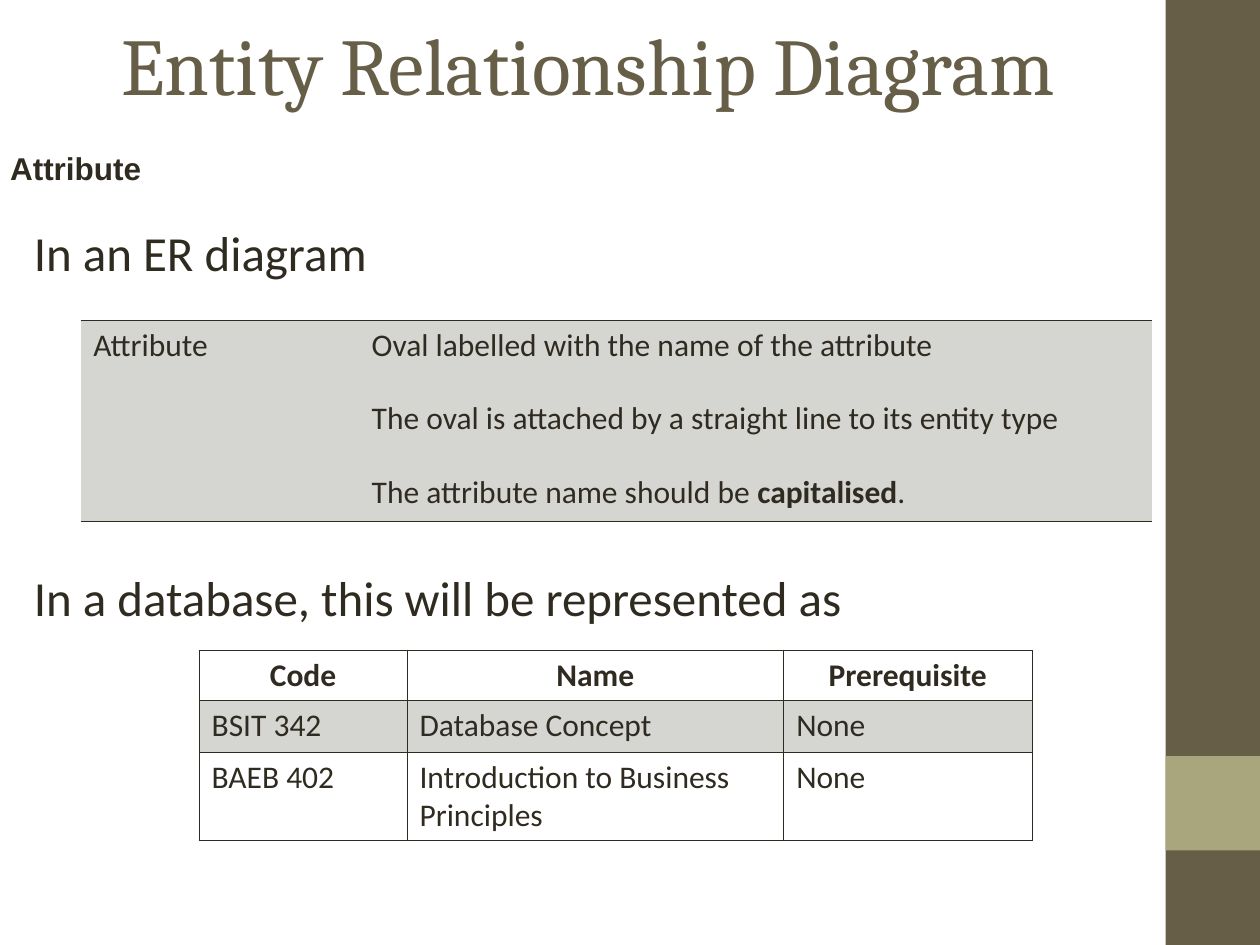
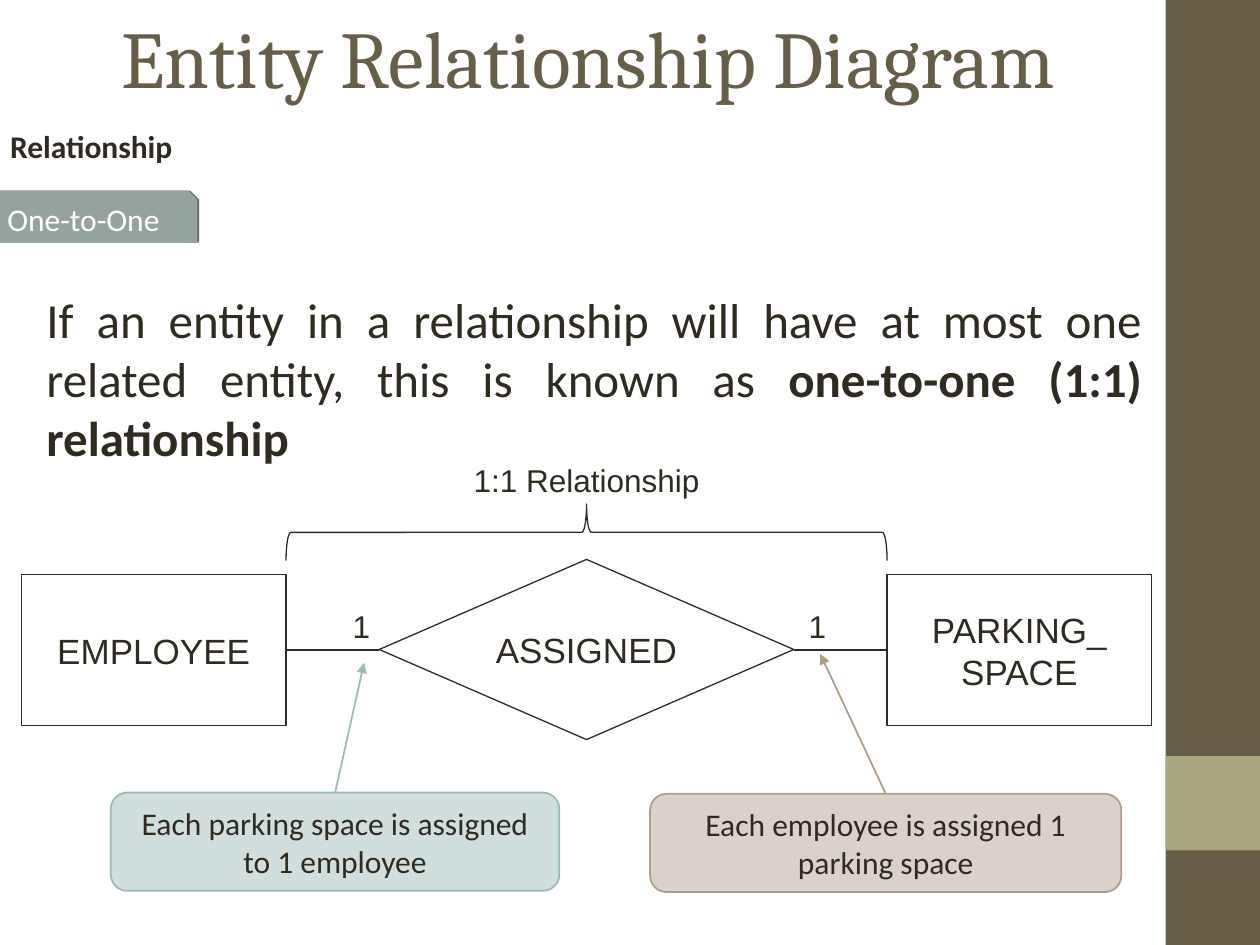
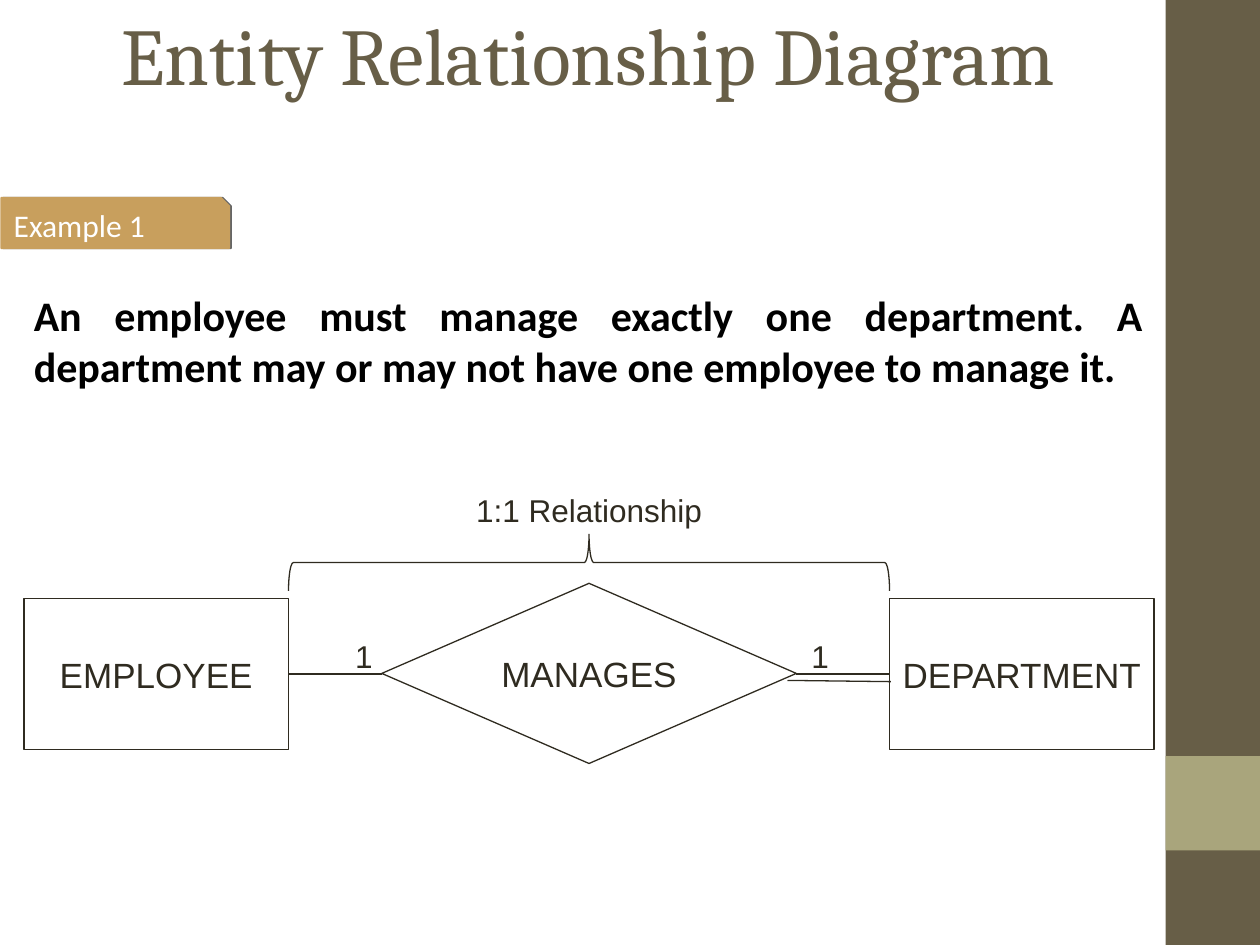
from lxml import etree
from pptx import Presentation
from pptx.dml.color import RGBColor
from pptx.enum.shapes import MSO_CONNECTOR as CONNECTOR, MSO_SHAPE as SHAPE
from pptx.enum.text import MSO_ANCHOR as ANCHOR, PP_ALIGN as ALIGN
from pptx.oxml.ns import qn
from pptx.util import Inches, Pt

INK = "2F2B20"
BROWN = "675E47"
OLIVE = "A9A57C"
WHITE = "FFFFFF"
SHADE = "D5D5D2"
HAIRLINE, RULE = 0.45, 0.96


def rgb(hex_code):
    return RGBColor.from_string(hex_code)


def write(frame, paragraphs, size, font="Calibri", color=INK, align=ALIGN.LEFT, gap=0):
    """Fill a frame with paragraphs, each a list of (text, bold) runs, gap points apart."""
    for number, runs in enumerate(paragraphs):
        paragraph = frame.add_paragraph() if number else frame.paragraphs[0]
        paragraph.alignment = align
        if number:
            paragraph.space_before = Pt(gap)
        for text, bold in runs:
            run = paragraph.add_run()
            run.text = text
            run.font.size = Pt(size)
            run.font.name = font
            run.font.bold = bold
            run.font.color.rgb = rgb(color)


def plain(*lines):
    return [[(line, False)] for line in lines]


def add_text(slide, left, top, width, height, paragraphs, size, anchor=ANCHOR.TOP, **style):
    box = slide.shapes.add_textbox(Inches(left), Inches(top), Inches(width), Inches(height))
    frame = box.text_frame
    frame.word_wrap = True
    frame.vertical_anchor = anchor
    write(frame, paragraphs, size, **style)
    return frame


def add_block(slide, kind, left, top, width, height, fill=None, line=None, weight=0.75):
    block = slide.shapes.add_shape(
        kind, Inches(left), Inches(top), Inches(width), Inches(height))
    block.shadow.inherit = False
    if fill:
        block.fill.solid()
        block.fill.fore_color.rgb = rgb(fill)
    else:
        block.fill.background()
    if line:
        block.line.color.rgb = rgb(line)
        block.line.width = Pt(weight)
    else:
        block.line.fill.background()
    return block


def add_line(slide, start, end, color=INK, weight=0.75, arrow=False):
    line = slide.shapes.add_connector(CONNECTOR.STRAIGHT, *map(Inches, start + end))
    line.line.color.rgb = rgb(color)
    line.line.width = Pt(weight)
    properties = line._element.spPr
    if arrow:
        etree.SubElement(properties.find(qn("a:ln")), qn("a:tailEnd"), type="triangle")
    etree.SubElement(properties, qn("a:effectLst"))


def add_page(deck, title_height):
    """Add a slide with the side bands and the common title."""
    slide = deck.slides.add_slide(deck.slide_layouts[6])
    add_block(slide, SHAPE.RECTANGLE, 9.25, 0, 0.75, 7.5, BROWN)
    add_block(slide, SHAPE.RECTANGLE, 9.25, 6, 0.75, 0.75, OLIVE)
    add_text(slide, 0.5, 0, 8.33, title_height, plain("Entity Relationship Diagram"), 46,
             ANCHOR.MIDDLE, font="Cambria", color=BROWN, align=ALIGN.CENTER)
    return slide


def add_topic(slide, top, width, topic, font):
    frame = add_text(slide, 0, top, width, 0.35, [[(topic, True)]], 18, font=font)
    frame.margin_left = frame.margin_right = Inches(0.08)
    frame.margin_top = frame.margin_bottom = 0
    frame.paragraphs[0].line_spacing = Pt(18)


def add_tag(slide, left, top, width, caption, color):
    """Add a snipped label with a thin shadow on its right edge."""
    tag = add_block(slide, SHAPE.SNIP_1_RECTANGLE, left, top, width, 0.4, color, color, 1)
    effects = tag._element.spPr.find(qn("a:effectLst"))
    shadow = etree.SubElement(effects, qn("a:outerShdw"), dist=str(Pt(1)), dir="0")
    black = etree.SubElement(shadow, qn("a:srgbClr"), val="000000")
    etree.SubElement(black, qn("a:alpha"), val="60000")
    tag.text_frame.word_wrap = False
    write(tag.text_frame, plain(caption), 18, color=WHITE)


def set_borders(cell, weights):
    """Draw the edges named in weights (L, R, T, B) and hide the others."""
    properties = cell._tc.get_or_add_tcPr()
    for side in "LRTB":
        weight = weights.get(side)
        edge = etree.SubElement(properties, qn(f"a:ln{side}"), w=str(Pt(weight or 0)))
        if weight:
            fill = etree.SubElement(edge, qn("a:solidFill"))
            etree.SubElement(fill, qn("a:srgbClr"), val=INK)
        else:
            etree.SubElement(edge, qn("a:noFill"))


def add_grid(slide, left, top, widths, heights):
    table = slide.shapes.add_table(
        len(heights), len(widths), Inches(left), Inches(top),
        Inches(sum(widths)), Inches(sum(heights))).table
    table.first_row = table.horz_banding = False
    for column, width in zip(table.columns, widths):
        column.width = Inches(width)
    for row, height in zip(table.rows, heights):
        row.height = Inches(height)
    return table


def fill_cell(cell, paragraphs, borders, shaded, **style):
    set_borders(cell, borders)
    if shaded:
        cell.fill.solid()
        cell.fill.fore_color.rgb = rgb(SHADE)
    else:
        cell.fill.background()
    write(cell.text_frame, paragraphs, 18, **style)


def add_notation_table(slide):
    table = add_grid(slide, 0.64, 2.54, [2.21, 6.29], [1.6])
    rules = plain("Oval labelled with the name of the attribute",
                  "The oval is attached by a straight line to its entity type")
    rules.append([("The attribute name should be ", False), ("capitalised", True), (".", False)])
    for column, paragraphs in enumerate([plain("Attribute"), rules]):
        fill_cell(table.cell(0, column), paragraphs, {"T": HAIRLINE, "B": HAIRLINE}, True, gap=20)


def add_course_table(slide):
    table = add_grid(slide, 1.58, 5.16, [1.65, 2.99, 1.97], [0.4, 0.41, 0.7])
    courses = [("Code", "Name", "Prerequisite"),
               ("BSIT 342", "Database Concept", "None"),
               ("BAEB 402", "Introduction to Business Principles", "None")]
    for row, values in enumerate(courses):
        header = row == 0
        borders = dict.fromkeys("LRTB", HAIRLINE)
        if header:
            borders["B"] = RULE
        elif row == 1:
            borders["T"] = RULE
        for column, value in enumerate(values):
            fill_cell(table.cell(row, column), [[(value, header)]], borders, row == 1,
                      align=ALIGN.CENTER if header else ALIGN.LEFT)


def add_node(slide, kind, left, top, width, height, *name_lines):
    node = add_block(slide, kind, left, top, width, height, WHITE, INK)
    node.text_frame.word_wrap = False
    write(node.text_frame, plain(*name_lines), 20, font="Arial", align=ALIGN.CENTER)


def add_er_diagram(slide, left, top, label_top, entity, relationship, related):
    """Draw entity - relationship - entity under a brace; related is a list of lines."""
    entity_width, diamond_left, diamond_width, related_left = 2.1, 2.84, 3.29, 6.87
    axis = top + 0.72
    add_node(slide, SHAPE.RECTANGLE, left, top + 0.12, entity_width, 1.2, entity)
    add_node(slide, SHAPE.RECTANGLE, left + related_left, top + 0.12, entity_width, 1.2, *related)
    add_node(slide, SHAPE.DIAMOND, left + diamond_left, top, diamond_width, 1.43, relationship)
    for start, end in [(entity_width, diamond_left),
                       (diamond_left + diamond_width, related_left)]:
        add_line(slide, (left + start, axis), (left + end, axis))
    for offset in (2.53, 6.15):
        add_text(slide, left + offset, label_top + 1.16, 0.39, 0.4, plain("1"), 18, font="Arial")

    depth, span = 0.45, related_left - entity_width
    center = left + entity_width + span / 2
    brace_middle = label_top + 0.39 + depth / 2
    brace = add_block(slide, SHAPE.LEFT_BRACE, center - depth / 2, brace_middle - span / 2,
                      depth, span, line=INK)
    brace.rotation = 90
    add_text(slide, center - 1.65, label_top, 3.3, 0.4, plain("1:1 Relationship"), 18,
             font="Arial", align=ALIGN.CENTER)


def add_callout(slide, left, top, width, remark, fill, color, target):
    add_line(slide, (left + width / 2, top), target, color, 1, arrow=True)
    bubble = add_block(slide, SHAPE.ROUNDED_RECTANGLE, left, top, width, 0.78, fill, color, 1)
    bubble.text_frame.word_wrap = True
    write(bubble.text_frame, plain(remark), 18, align=ALIGN.CENTER)


def attribute_slide(deck):
    slide = add_page(deck, 1)
    add_topic(slide, 1.23, 1.25, "Attribute", "Arial")
    add_text(slide, 0.17, 1.72, 9, 1.18,
             plain("In an ER diagram", "In a database, this will be represented as"), 28, gap=163)
    add_notation_table(slide)
    add_course_table(slide)


def one_to_one_slide(deck):
    slide = add_page(deck, 0.89)
    add_topic(slide, 1.06, 1.56, "Relationship", "Calibri")
    add_tag(slide, -0.04, 1.52, 1.6, "One-to-One", "95A39D")
    definition = [("If an entity in a relationship will have at most one related entity, "
                   "this is known as ", False), ("one-to-one (1:1) relationship", True)]
    add_text(slide, 0.27, 2.25, 8.89, 1.18, [definition], 28, align=ALIGN.JUSTIFY)
    add_er_diagram(slide, 0.17, 4.44, 3.61, "EMPLOYEE", "ASSIGNED", ["PARKING_", "SPACE"])
    add_callout(slide, 5.16, 6.3, 3.74, "Each employee is assigned 1 parking space",
                "D9D2CA", "AE9C85", (6.51, 5.19))
    add_callout(slide, 0.88, 6.29, 3.56, "Each parking space is assigned to 1 employee",
                "D0DEDE", "98BBB9", (2.89, 5.26))


def example_slide(deck):
    slide = add_page(deck, 0.84)
    add_tag(slide, 0.01, 1.57, 1.81, "Example 1", "C89F5D")
    statement = ("An employee must manage exactly one department. "
                 "A department may or may not have one employee to manage it.")
    add_text(slide, 0.17, 2.25, 9, 1.18, [[(statement, True)]], 24,
             color="000000", align=ALIGN.JUSTIFY)
    add_er_diagram(slide, 0.19, 4.63, 3.85, "EMPLOYEE", "MANAGES", ["DEPARTMENT"])
    add_line(slide, (6.25, 5.4), (7.07, 5.41))


def main():
    deck = Presentation()
    deck.slide_width, deck.slide_height = Inches(10), Inches(7.5)
    attribute_slide(deck)
    one_to_one_slide(deck)
    example_slide(deck)
    deck.save("out.pptx")


if __name__ == "__main__":
    main()
